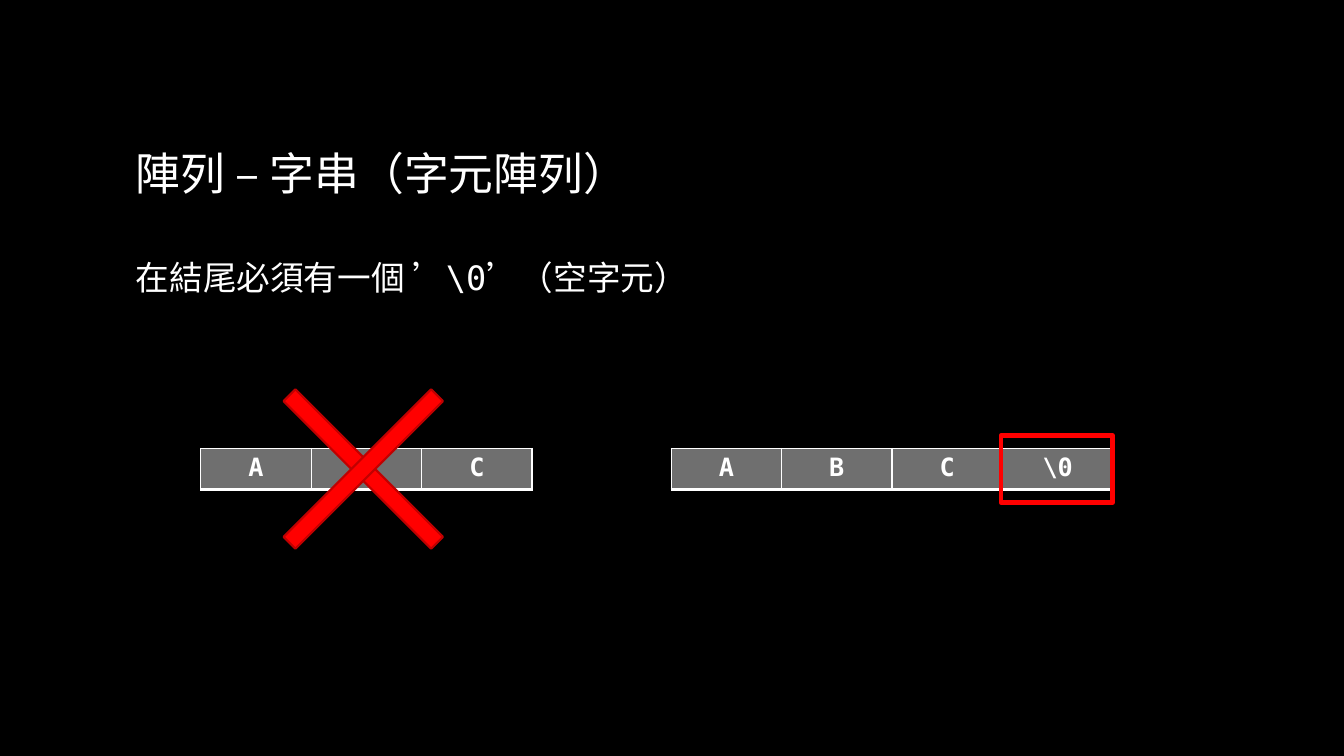
from lxml.etree import SubElement
from pptx import Presentation
from pptx.dml.color import RGBColor
from pptx.enum.shapes import MSO_SHAPE
from pptx.enum.text import MSO_ANCHOR, PP_ALIGN
from pptx.oxml import parse_xml
from pptx.oxml.ns import nsdecls, qn
from pptx.util import Inches, Pt


def colour(code):
    return RGBColor.from_string(code)


class Page:
    """Draws styled elements on a grid of 160 columns by 90 rows."""

    white, black, grey, red, dark_red = "FFFFFF", "000000", "6F6F6F", "FF0000", "C00000"
    hanzi, mono = "Noto Sans CJK SC", "DejaVu Sans Mono"
    cell_width, cell_height = 13.15, 4.9

    def __init__(self, deck):
        self.unit = deck.slide_width / 160
        self.slide = deck.slides.add_slide(deck.slide_layouts[6])
        self.slide.background.fill.solid()
        self.slide.background.fill.fore_color.rgb = colour(self.black)

    def place(self, *lengths):
        return [round(length * self.unit) for length in lengths]

    def text(self, at, size, spans, before=0, after=0):
        frame = self.slide.shapes.add_textbox(*self.place(*at)).text_frame
        frame.word_wrap = True
        frame.vertical_anchor = MSO_ANCHOR.MIDDLE
        para = frame.paragraphs[0]
        para.space_before, para.space_after = Pt(before), Pt(after)
        para.font.size = Pt(size)
        para.font.color.rgb = colour(self.white)
        for words, font in spans:
            span = para.add_run()
            span.text = words
            span.font.name = font
            SubElement(span.font._element, qn("a:ea"), typeface=self.hanzi)

    def array(self, left, top, letters):
        size = self.place(left, top, self.cell_width * len(letters), self.cell_height)
        table = self.slide.shapes.add_table(1, len(letters), *size).table
        for cell, letter in zip(table.iter_cells(), letters):
            cell.text = letter
            cell.fill.solid()
            cell.fill.fore_color.rgb = colour(self.grey)
            para = cell.text_frame.paragraphs[0]
            para.alignment = PP_ALIGN.CENTER
            para.font.name, para.font.size, para.font.bold = self.mono, Pt(18), True
            para.font.color.rgb = colour(self.white)
            self.borders(cell)

    def borders(self, cell):
        properties = cell._tc.get_or_add_tcPr()
        for place, (side, width) in enumerate(zip("LRTB", (1, 1, 1, 3))):
            properties.insert(place, parse_xml(
                f'<a:ln{side} {nsdecls("a")} w="{Pt(width)}"><a:solidFill>'
                f'<a:srgbClr val="{self.white}"/></a:solidFill></a:ln{side}>'))

    def box(self, at, line, width, fill=None, turn=0, parent=None):
        shapes = (parent or self.slide).shapes
        shape = shapes.add_shape(MSO_SHAPE.RECTANGLE, *self.place(*at))
        shape.shadow.inherit = False
        shape.rotation = turn
        shape.line.color.rgb = colour(line)
        shape.line.width = Pt(width)
        if fill:
            shape.fill.solid()
            shape.fill.fore_color.rgb = colour(fill)
        else:
            shape.fill.background()

    def cross(self, middle, centre, thickness, length):
        group = self.slide.shapes.add_group_shape()
        at = (middle - thickness / 2, centre - length / 2, thickness, length)
        for turn in (315, 45):
            self.box(at, self.dark_red, 1.5, self.red, turn, group)


def main():
    deck = Presentation()
    deck.slide_width, deck.slide_height = Inches(13.33), Inches(7.5)
    page = Page(deck)
    page.text((15, 8, 130, 25), 32, [("陣列 – 字串（字元陣列）", page.hanzi)])
    page.text((15, 28, 130, 10), 24, [
        ("在結尾必須有一個 ’", page.hanzi),
        ("\\0", page.mono),
        ("’（空字元）", page.hanzi),
    ], before=4.8, after=6)
    page.array(23.9, 53.4, ["A", "B", "C"])
    page.array(79.9, 53.4, ["A", "B", "C", "\\0"])
    page.cross(43.25, 55.85, 2, 24.85)
    page.box((119.15, 51.85, 13.3, 8), page.red, 3)
    deck.save("out.pptx")


if __name__ == "__main__":
    main()
